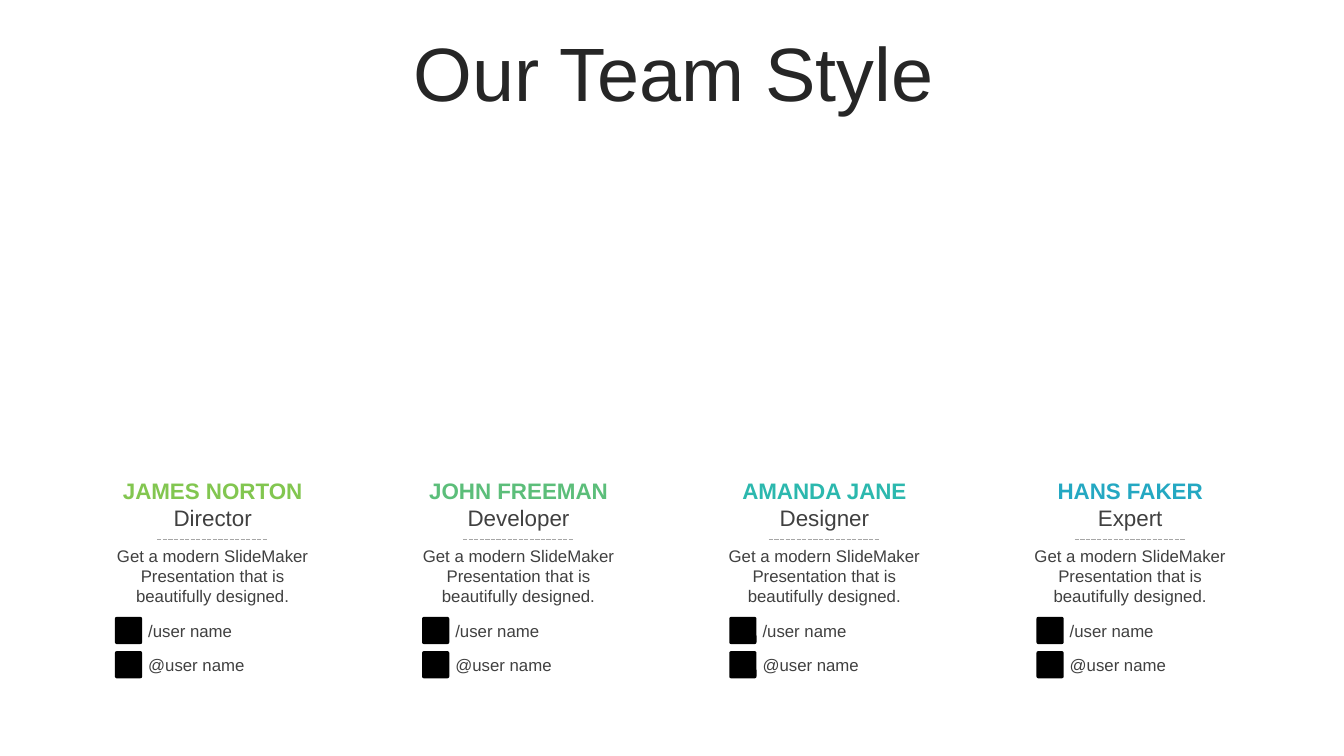
from lxml.etree import SubElement
from pptx import Presentation
from pptx.dml.color import RGBColor
from pptx.enum.dml import MSO_LINE
from pptx.enum.shapes import MSO_CONNECTOR, MSO_SHAPE
from pptx.enum.text import MSO_ANCHOR, MSO_AUTO_SIZE, PP_ALIGN
from pptx.oxml.ns import qn
from pptx.util import Inches, Pt

TITLE_COLOR = RGBColor(0x26, 0x26, 0x26)
TEXT_COLOR = RGBColor(0x40, 0x40, 0x40)
RULE_COLOR = RGBColor(0xA6, 0xA6, 0xA6)
BLACK = RGBColor(0x00, 0x00, 0x00)
FONT = "Arial"

TITLE = "Our Team Style"
MEMBERS = [
    ("JAMES NORTON", "Director", RGBColor(0x82, 0xC6, 0x50)),
    ("JOHN FREEMAN", "Developer", RGBColor(0x5C, 0xBE, 0x7A)),
    ("AMANDA JANE", "Designer", RGBColor(0x2C, 0xB8, 0xAE)),
    ("HANS FAKER", "Expert", RGBColor(0x24, 0xA8, 0xC2)),
]
DESCRIPTION = "Get a modern SlideMaker Presentation that is beautifully designed."
HANDLES = ["/user name", "@user name"]

COLUMN_LEFT, LAST_COLUMN_LEFT, COLUMN_WIDTH = 1.08, 10.18, 2.06
ICON_LEFT, LAST_ICON_LEFT, ICON_SIZE = 1.14, 10.28, 0.27
ICON_TOP, HANDLE_PITCH = 6.12, 0.34
HANDLE_INDENT, HANDLE_WIDTH, HANDLE_HEIGHT = 0.33, 1.57, 0.2
RULE_INDENT, RULE_WIDTH, RULE_TOP = 0.48, 1.1, 5.35


def write_text(frame, text, size=12, color=TEXT_COLOR, bold=False,
               align=PP_ALIGN.CENTER, anchor=MSO_ANCHOR.TOP, line_spacing=None):
    frame.word_wrap = True
    frame.vertical_anchor = anchor
    paragraph = frame.paragraphs[0]
    paragraph.text = text
    paragraph.alignment = align
    paragraph.line_spacing = line_spacing
    font = paragraph.font
    font.name, font.size, font.bold = FONT, Pt(size), bold
    font.color.rgb = color


def add_text(slide, text, left, top, width, height, **text_format):
    box = slide.shapes.add_textbox(Inches(left), Inches(top), Inches(width), Inches(height))
    frame = box.text_frame
    frame.margin_left = frame.margin_right = frame.margin_top = frame.margin_bottom = 0
    frame.auto_size = MSO_AUTO_SIZE.SHAPE_TO_FIT_TEXT
    write_text(frame, text, **text_format)


def add_title(slide):
    title = slide.shapes.title
    title.left, title.top = Inches(0.35), Inches(0.37)
    title.width, title.height = Inches(12.66), Inches(0.79)
    title.text_frame.auto_size = MSO_AUTO_SIZE.NONE
    write_text(title.text_frame, TITLE, size=54, color=TITLE_COLOR,
               anchor=MSO_ANCHOR.MIDDLE, line_spacing=0.9)


def add_rule(slide, left):
    rule = slide.shapes.add_connector(
        MSO_CONNECTOR.STRAIGHT, Inches(left), Inches(RULE_TOP),
        Inches(left + RULE_WIDTH), Inches(RULE_TOP))
    rule.line.color.rgb = RULE_COLOR
    rule.line.width = Pt(1)
    rule.line.dash_style = MSO_LINE.SQUARE_DOT
    SubElement(rule._element.spPr, qn("a:effectLst"))


def add_icon(slide, left, top):
    icon = slide.shapes.add_shape(
        MSO_SHAPE.ROUNDED_RECTANGLE, Inches(left), Inches(top),
        Inches(ICON_SIZE), Inches(ICON_SIZE))
    icon.adjustments[0] = 0.07
    icon.shadow.inherit = False
    icon.fill.solid()
    icon.fill.fore_color.rgb = BLACK
    icon.line.fill.background()


def add_member(slide, index, name, role, color):
    share = index / (len(MEMBERS) - 1)
    left = COLUMN_LEFT + share * (LAST_COLUMN_LEFT - COLUMN_LEFT)
    icon_left = ICON_LEFT + share * (LAST_ICON_LEFT - ICON_LEFT)

    add_text(slide, name, left, 4.73, COLUMN_WIDTH, 0.27, size=16, color=color, bold=True)
    add_text(slide, role, left, 5, COLUMN_WIDTH, 0.27, size=16)
    add_rule(slide, left + RULE_INDENT)
    add_text(slide, DESCRIPTION, left, 5.41, COLUMN_WIDTH, 0.61)
    for row, handle in enumerate(HANDLES):
        top = ICON_TOP + row * HANDLE_PITCH
        add_icon(slide, icon_left, top)
        add_text(slide, handle, icon_left + HANDLE_INDENT,
                 top + (ICON_SIZE - HANDLE_HEIGHT) / 2, HANDLE_WIDTH, HANDLE_HEIGHT,
                 align=PP_ALIGN.LEFT, anchor=MSO_ANCHOR.MIDDLE)


def main():
    presentation = Presentation()
    presentation.slide_width = Inches(13.33)
    presentation.slide_height = Inches(7.5)
    slide = presentation.slides.add_slide(presentation.slide_layouts[5])
    add_title(slide)
    for index, member in enumerate(MEMBERS):
        add_member(slide, index, *member)
    presentation.save("out.pptx")


if __name__ == "__main__":
    main()
